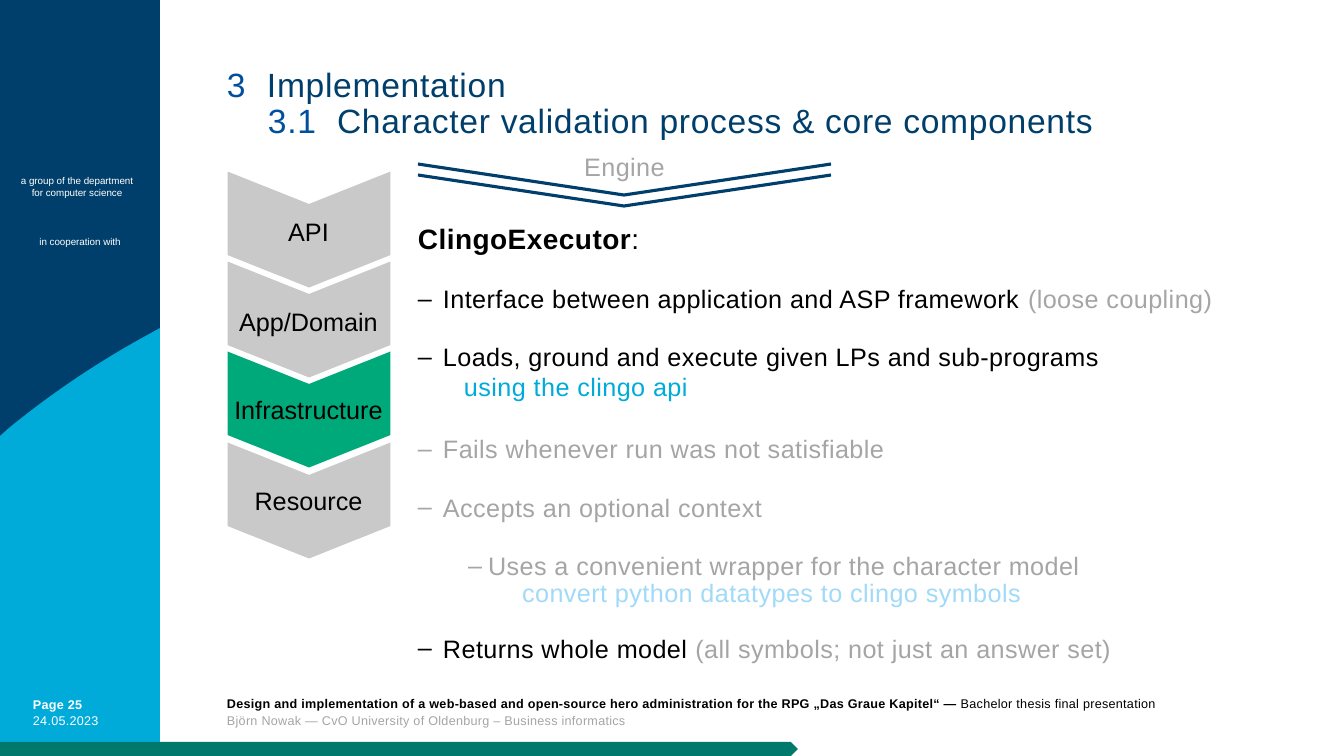
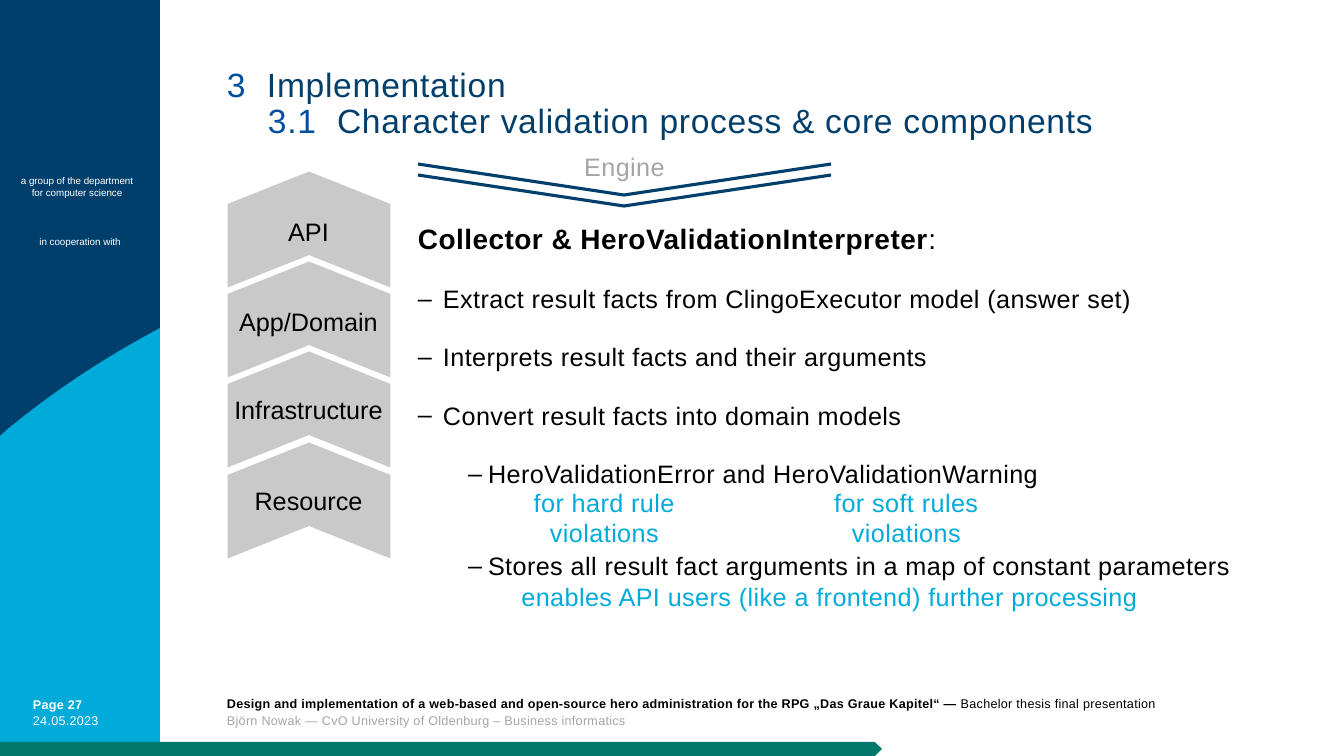
from dataclasses import dataclass

from lxml import etree
from pptx import Presentation
from pptx.dml.color import RGBColor
from pptx.enum.shapes import MSO_SHAPE
from pptx.enum.text import MSO_ANCHOR, PP_ALIGN
from pptx.oxml.ns import qn
from pptx.util import Emu, Pt

CHEVRON, PENTAGON, RECTANGLE = MSO_SHAPE.CHEVRON, MSO_SHAPE.PENTAGON, MSO_SHAPE.RECTANGLE
LEFT, CENTER = PP_ALIGN.LEFT, PP_ALIGN.CENTER
TOP, MIDDLE = MSO_ANCHOR.TOP, MSO_ANCHOR.MIDDLE

PX = 914400 / 100.8
FINE = 100  # outline steps per px, as freeform points are rounded to whole steps
FONT = "Arial"

NAVY = RGBColor(0x00, 0x3F, 0x6B)
BLUE = RGBColor(0x00, 0x4F, 0x9F)
CYAN = RGBColor(0x00, 0xAB, 0xDA)
PALE_CYAN = RGBColor(0xA1, 0xDA, 0xF8)
GREEN = RGBColor(0x00, 0xA9, 0x7A)
TEAL = RGBColor(0x00, 0x78, 0x6B)
SILVER = RGBColor(0xC9, 0xC9, 0xC9)
GREY = RGBColor(0xA5, 0xA5, 0xA5)
BLACK = RGBColor(0x00, 0x00, 0x00)
WHITE = RGBColor(0xFF, 0xFF, 0xFF)


@dataclass
class Para:
    """Runs are strings, or (text, colour, bold) where they differ from the paragraph."""
    runs: list
    color: RGBColor = BLACK
    bold: bool = False
    size: int = 18
    after: int = 0
    left: int = 0
    hang: int = 0
    bullet: str = ""


def point(*runs, color=BLACK, after=18):
    return Para(runs, color, after=after, left=25, hang=25, bullet="‒")


def subpoint(*runs, color=BLACK, after=18):
    return Para(runs, color, after=after, left=70, hang=20, bullet="‒")


def heading(name):
    return Para([name, (":", BLACK, False)], bold=True, size=20, after=18)


NOTE_ROOM = 42  # space after a point that has a note line below it

TITLE = [
    Para(["3", ("\tImplementation", NAVY, False)], BLUE, size=24, left=40, hang=40),
    Para(["3.1", ("\tCharacter validation process & core components", NAVY, False)],
         BLUE, size=24, left=110, hang=69),
]
FOOTER = [
    Para(["Design and implementation of a web-based and open-source hero administration "
          "for the RPG „Das Graue Kapitel“ — ",
          ("Bachelor thesis final presentation", BLACK, False)], bold=True, size=9),
    Para(["Björn Nowak — CvO University of Oldenburg – Business informatics"], GREY, size=9),
]
DATE = "24.05.2023"
SIDE_NOTES = [
    ((0, 169, 154, 35), ["a group of the department", "for computer science"]),
    ((0, 231, 160, 22), ["in cooperation with"]),
]
LAYERS = [("API", 211), ("App/Domain", 301), ("Infrastructure", 389), ("Resource", 480)]

SLIDES = [
    {
        "page": 25,
        "progress": 798,
        "rotation": 90,
        "active": "Infrastructure",
        "body": [
            heading("ClingoExecutor"),
            point("Interface between application and ASP framework ",
                  ("(loose coupling)", GREY, False)),
            point("Loads, ground and execute given LPs and sub-programs", after=NOTE_ROOM),
            point("Fails whenever run was not satisfiable", color=GREY),
            point("Accepts an optional context", color=GREY),
            subpoint("Uses a convenient wrapper for the character model",
                     color=GREY, after=35),
            point("Returns whole model ",
                  ("(all symbols; not just an answer set)", GREY, False)),
        ],
        "notes": [
            ((433, 371, 286, 38), "using the clingo api", CYAN),
            ((481, 577, 582, 38), "convert python datatypes to clingo symbols", PALE_CYAN),
        ],
    },
    {
        "page": 27,
        "progress": 882,
        "rotation": 270,
        "active": None,
        "body": [
            heading("Collector & HeroValidationInterpreter"),
            point("Extract result facts from ClingoExecutor model (answer set)"),
            point("Interprets result facts and their arguments"),
            point("Convert result facts into domain models"),
            subpoint("HeroValidationError and HeroValidationWarning", after=NOTE_ROOM),
            subpoint("Stores all result fact arguments in a map of constant parameters"),
        ],
        "notes": [
            ((497, 487, 215, 72), "for hard rule violations", CYAN),
            ((799, 487, 215, 72), "for soft rules violations", CYAN),
            ((461, 581, 738, 36), "enables API users (like a frontend) further processing", CYAN),
        ],
    },
]


def px(value):
    return Emu(round(value * PX))


def format_paragraph(paragraph, para, align, line, tracking):
    paragraph.alignment = align
    paragraph.space_after = Pt(para.after)
    if line:
        paragraph.line_spacing = line
    props = paragraph._p.get_or_add_pPr()
    if para.hang:
        props.set("marL", str(px(para.left)))
        props.set("indent", str(-px(para.hang)))
        if para.bullet:
            etree.SubElement(props, qn("a:buFont")).set("typeface", FONT)
            etree.SubElement(props, qn("a:buChar")).set("char", para.bullet)
        else:
            tabs = etree.SubElement(props, qn("a:tabLst"))
            etree.SubElement(tabs, qn("a:tab"), pos=str(px(para.left)), algn="l")
    font = paragraph.font
    font.name, font.size, font.bold = FONT, Pt(para.size), para.bold
    font.color.rgb = para.color
    for item in para.runs:
        run = paragraph.add_run()
        if isinstance(item, str):
            run.text = item
        else:
            run.text, run.font.color.rgb, run.font.bold = item
        if tracking:
            run._r.get_or_add_rPr().set("spc", str(tracking))


def add_text(slide, box, paras, align=LEFT, anchor=TOP, line=None, tracking=0):
    """Tracking is in hundredths of a point."""
    frame = slide.shapes.add_textbox(*map(px, box)).text_frame
    frame.word_wrap = True
    frame.vertical_anchor = anchor
    frame.margin_left = frame.margin_right = frame.margin_top = frame.margin_bottom = 0
    for index, para in enumerate(paras):
        paragraph = frame.add_paragraph() if index else frame.paragraphs[0]
        format_paragraph(paragraph, para, align, line, tracking)


def add_filled(slide, kind, box, color):
    shape = slide.shapes.add_shape(kind, *map(px, box))
    shape.shadow.inherit = False
    shape.fill.solid()
    shape.fill.fore_color.rgb = color
    shape.line.fill.background()
    return shape


def add_outline(slide, points, close):
    fine_points = [(x * FINE, y * FINE) for x, y in points]
    builder = slide.shapes.build_freeform(*fine_points[0], scale=PX / FINE)
    builder.add_line_segments(fine_points[1:], close=close)
    shape = builder.convert_to_shape()
    shape.shadow.inherit = False
    return shape


def bezier(start, first, second, end, steps=16):
    for step in range(1, steps + 1):
        t = step / steps
        weights = ((1 - t) ** 3, 3 * t * (1 - t) ** 2, 3 * t * t * (1 - t), t ** 3)
        yield tuple(sum(w * p[axis] for w, p in zip(weights, (start, first, second, end)))
                    for axis in (0, 1))


def add_frame(slide, page, progress):
    """Side band, page data, footer, title and progress bar."""
    add_filled(slide, RECTANGLE, (0, 0, 160, 756), NAVY)
    arc = bezier((9, 428), (53, 392), (101, 360), (151, 333))
    swoosh = add_outline(slide, [(160, 328), (160, 756), (0, 756), (0, 436), (9, 428), *arc], True)
    swoosh.fill.solid()
    swoosh.fill.fore_color.rgb = CYAN
    swoosh.line.fill.background()
    for box, lines in SIDE_NOTES:
        add_text(slide, box, [Para([text], WHITE, size=7) for text in lines], CENTER, MIDDLE)
    page_data = [Para([f"Page {page}"], WHITE, True, 9), Para([DATE], WHITE, size=9)]
    add_text(slide, (33, 695, 115, 40), page_data, line=Pt(12), tracking=20)
    add_text(slide, (227, 694, 949, 40), FOOTER, line=Pt(12), tracking=20)
    add_text(slide, (227, 68, 949, 84), TITLE, line=0.9, tracking=50)
    add_filled(slide, PENTAGON, (0, 742, progress, 14), TEAL)


def add_layers(slide, rotation, active):
    for index, (layer, label_top) in enumerate(LAYERS):
        chevron = add_filled(slide, CHEVRON, (251, 148 + 271 * index // 3, 116, 163),
                             GREEN if layer == active else SILVER)
        chevron.adjustments[0] = 0.28
        chevron.rotation = rotation
        add_text(slide, (227, label_top, 163, 40), [Para([layer])], CENTER, MIDDLE)


def add_engine_marker(slide):
    for top in (164, 175):
        stroke = add_outline(slide, [(418, top), (624, top + 31), (831, top)], False)
        stroke.fill.background()
        stroke.line.color.rgb = NAVY
        stroke.line.width = Pt(2.25)
    add_text(slide, (418, 151, 413, 32), [Para(["Engine"], GREY)], CENTER, tracking=30)


def main():
    deck = Presentation()
    deck.slide_width, deck.slide_height = px(1344), px(756)
    for content in SLIDES:
        slide = deck.slides.add_slide(deck.slide_layouts[6])
        add_frame(slide, content["page"], content["progress"])
        add_layers(slide, content["rotation"], content["active"])
        add_engine_marker(slide)
        add_text(slide, (418, 218, 857, 450), content["body"], line=1.1, tracking=30)
        for box, text, color in content["notes"]:
            add_text(slide, box, [Para([text], color)], CENTER, tracking=30)
    deck.save("out.pptx")


if __name__ == "__main__":
    main()
